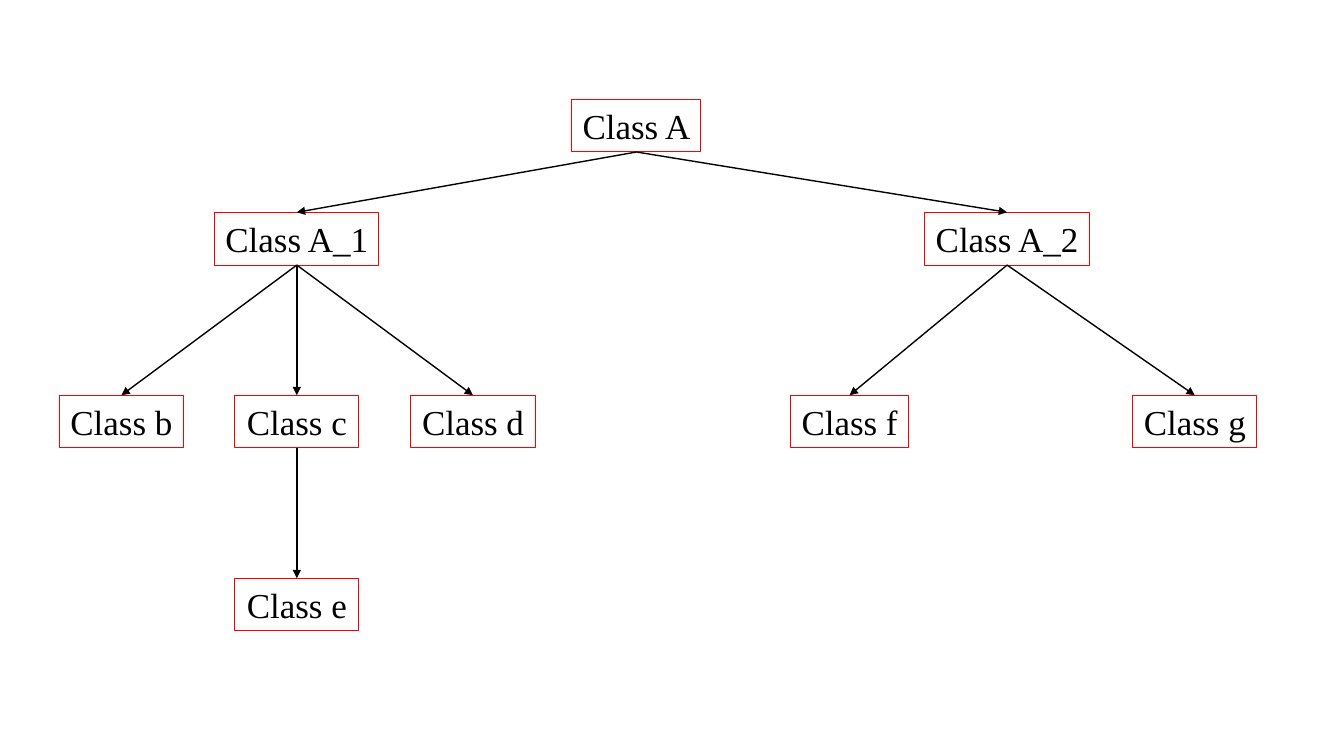
from lxml import etree
from pptx import Presentation
from pptx.dml.color import RGBColor
from pptx.enum.shapes import MSO_CONNECTOR
from pptx.enum.text import MSO_AUTO_SIZE, PP_ALIGN
from pptx.oxml.ns import qn
from pptx.util import Cm, Pt

LINE = MSO_CONNECTOR.STRAIGHT
GROW = MSO_AUTO_SIZE.SHAPE_TO_FIT_TEXT
CENTER = PP_ALIGN.CENTER
TOP, BOTTOM = 0, 2  # connection sites of a rectangle

COLORS = {"text": "000000", "frame": "FF0000", "arrow": "000000"}
FONT = "Times New Roman"
HEIGHT = 1.33
LEVELS = [2.5, 5.35, 9.96, 14.57]

# name, parent, level, centre and width in cm
NODES = [
    ("A", None, 0, 16.04, 3.25),
    ("A_1", "A", 1, 7.48, 4.14),
    ("A_2", "A", 1, 25.38, 4.14),
    ("b", "A_1", 2, 3.06, 3.13),
    ("c", "A_1", 2, 7.48, 3.13),
    ("d", "A_1", 2, 11.92, 3.13),
    ("e", "c", 3, 7.48, 3.13),
    ("f", "A_2", 2, 21.41, 2.98),
    ("g", "A_2", 2, 30.11, 3.13),
]


def color(key):
    """Return the named colour."""
    return RGBColor.from_string(COLORS[key])


def add_node(slide, name, level, center, width):
    """Add a framed class box centred on its column."""
    box = slide.shapes.add_textbox(
        Cm(center - width / 2), Cm(LEVELS[level]), Cm(width), Cm(HEIGHT))
    box.line.color.rgb = color("frame")
    box.line.width = Pt(0.75)
    frame = box.text_frame
    frame.word_wrap = False
    frame.auto_size = GROW
    para = frame.paragraphs[0]
    para.alignment = CENTER
    run = para.add_run()
    run.text = f"Class {name}"
    run.font.name = FONT
    run.font.size = Pt(25)
    run.font.color.rgb = color("text")
    return box


def add_arrow(slide, parent, child):
    """Join the bottom of a parent to the top of its child."""
    arrow = slide.shapes.add_connector(LINE, 0, 0, 0, 0)
    arrow.begin_connect(parent, BOTTOM)
    arrow.end_connect(child, TOP)
    arrow.line.color.rgb = color("arrow")
    arrow.line.width = Pt(1)
    props = arrow.element.spPr
    etree.SubElement(props.find(qn("a:ln")), qn("a:tailEnd"), type="triangle")
    etree.SubElement(props, qn("a:effectLst"))


def main():
    """Build the class tree slide."""
    deck = Presentation()
    deck.slide_width, deck.slide_height = Cm(33.87), Cm(19.05)
    slide = deck.slides.add_slide(deck.slide_layouts[6])
    boxes = {name: add_node(slide, name, level, center, width)
             for name, _, level, center, width in NODES}
    for name, parent, *_ in NODES:
        if parent:
            add_arrow(slide, boxes[parent], boxes[name])
    deck.save("out.pptx")


main()
